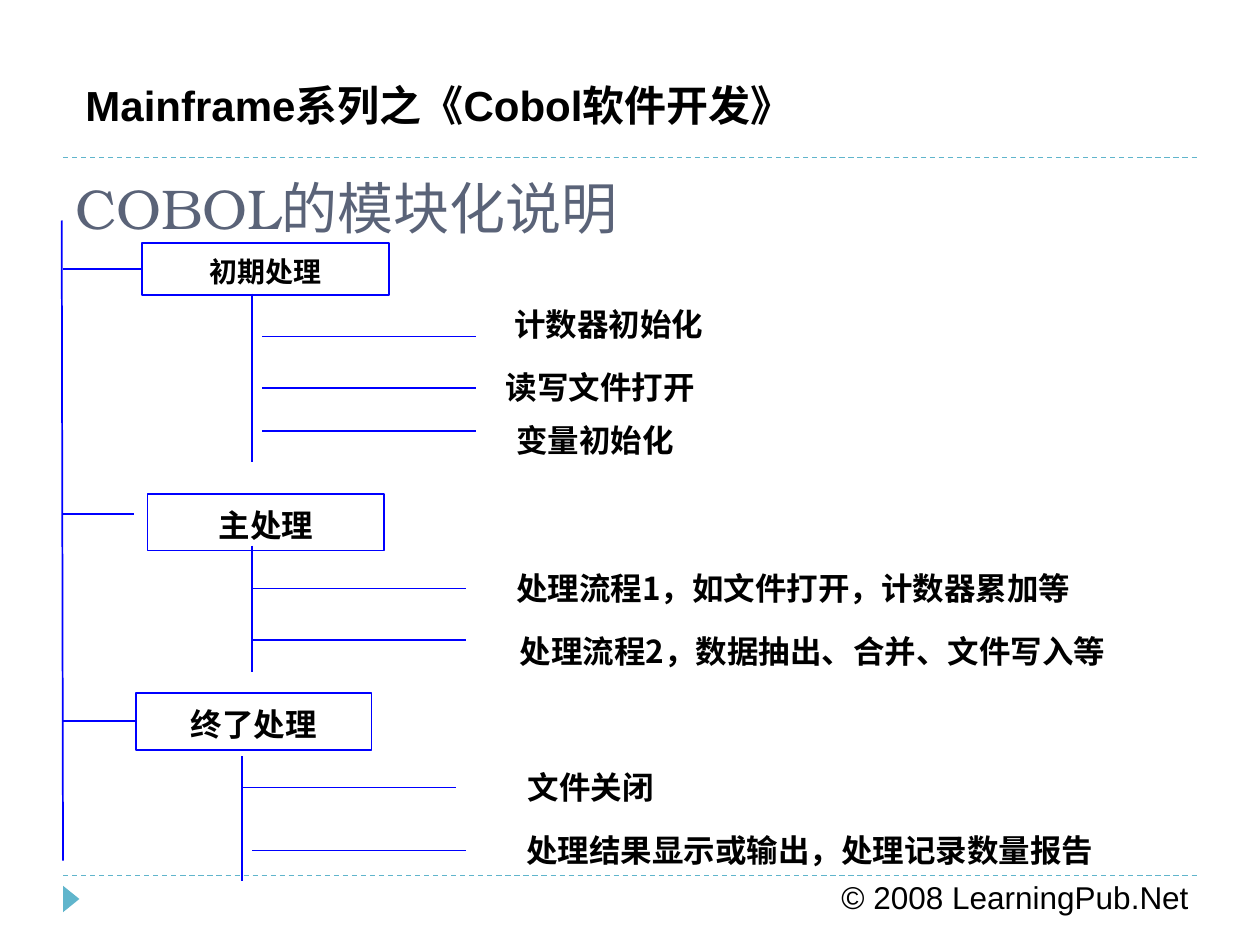
from dataclasses import dataclass

from lxml import etree
from pptx import Presentation
from pptx.dml.color import RGBColor
from pptx.enum.dml import MSO_LINE
from pptx.enum.shapes import MSO_CONNECTOR, MSO_SHAPE
from pptx.enum.text import MSO_ANCHOR, MSO_AUTO_SIZE, PP_ALIGN
from pptx.oxml.ns import qn
from pptx.util import Inches, Pt

STRAIGHT = MSO_CONNECTOR.STRAIGHT
RECTANGLE, TRIANGLE = MSO_SHAPE.RECTANGLE, MSO_SHAPE.ISOSCELES_TRIANGLE
LEFT, CENTER = PP_ALIGN.LEFT, PP_ALIGN.CENTER
TOP, NO_AUTOFIT = MSO_ANCHOR.TOP, MSO_AUTO_SIZE.NONE
DASH = MSO_LINE.DASH
LEFT_SIDE = 1


@dataclass(frozen=True)
class Theme:
    text: RGBColor = RGBColor(0x00, 0x00, 0x00)
    title: RGBColor = RGBColor(0x5A, 0x63, 0x78)
    tree: RGBColor = RGBColor(0x00, 0x00, 0xFF)
    accent: RGBColor = RGBColor(0x60, 0xB5, 0xCC)
    latin_font: str = "Arial"
    title_font: str = "TeX Gyre Bonum"
    cjk_font: str = "Noto Sans CJK SC"
    title_size: int = 32
    series_size: int = 24
    body_size: int = 18
    small_size: int = 16


THEME = Theme()

prs = Presentation()
prs.slide_width, prs.slide_height = Inches(10), Inches(7.5)
slide = prs.slides.add_slide(prs.slide_layouts[5])
shapes = slide.shapes


def write(holder, text, *, size=THEME.body_size, font=THEME.cjk_font,
          color=THEME.text, bold=True, align=LEFT, spacing=1.0, wrap=True):
    """Put one formatted line of text into a shape."""
    frame = holder.text_frame
    frame.auto_size, frame.vertical_anchor, frame.word_wrap = NO_AUTOFIT, TOP, wrap
    paragraph = frame.paragraphs[0]
    paragraph.alignment, paragraph.line_spacing = align, spacing
    run = paragraph.add_run()
    run.text = text
    run.font.size, run.font.bold, run.font.name = Pt(size), bold, font
    run.font.color.rgb = color
    east_asian = etree.SubElement(run.font._element, qn("a:ea"))
    east_asian.set("typeface", THEME.cjk_font)


def draw_line(x1, y1, x2, y2, color=THEME.tree, width=1):
    line = shapes.add_connector(STRAIGHT, Inches(x1), Inches(y1), Inches(x2), Inches(y2))
    line.line.color.rgb, line.line.width = color, Pt(width)
    etree.SubElement(line._element.spPr, qn("a:effectLst"))
    return line


# Page frame: dashed rules, marker, series name and copyright
for rule_y in (1.25, 6.95):
    draw_line(0.5, rule_y, 9.5, rule_y, THEME.accent, 0.75).line.dash_style = DASH

marker = shapes.add_shape(TRIANGLE, Inches(0.46), Inches(7.07), Inches(0.21), Inches(0.13))
marker.rotation = 90
marker.shadow.inherit = False
marker.fill.solid()
marker.fill.fore_color.rgb = THEME.accent
marker.line.fill.background()

copyright_line = shapes.add_textbox(Inches(6.58), Inches(6.92), Inches(3), Inches(0.4))
write(copyright_line, "© 2008 LearningPub.Net", font=THEME.latin_font, bold=False)

series_name = shapes.add_textbox(Inches(0.58), Inches(0.58), Inches(6.08), Inches(0.5))
write(series_name, "Mainframe系列之《Cobol软件开发》", size=THEME.series_size,
      font=THEME.latin_font)

# Title
title = shapes.title
title.left, title.top, title.width, title.height = (
    Inches(0.5), Inches(1.33), Inches(9), Inches(1.25))
write(title, "COBOL的模块化说明", size=THEME.title_size, font=THEME.title_font,
      color=THEME.title, bold=False)

# Trunk of the module tree
TRUNK_X = 0.5
draw_line(0.49, 1.75, TRUNK_X, 6.83)

# Stage: name, size, box (x, y, w, h), end of a branch that stops short of
# the box or None, stem (x, top, bottom), twigs (x, y), steps (text, x, y, w, align)
stages = [
    ("初期处理", THEME.small_size, (1.13, 1.93, 1.96, 0.41), None, (2, 2.33, 3.67),
     [(2.08, 2.67), (2.08, 3.08), (2.08, 3.42)],
     [("计数器初始化", 3.83, 2.33, 2, CENTER),
      ("读写文件打开", 3.83, 2.83, 1.87, CENTER),
      ("变量初始化", 4, 3.25, 2.08, LEFT)]),
    ("主处理", THEME.body_size, (1.17, 3.92, 1.88, 0.45), (1.06, 4.08), (2, 4.33, 5.33),
     [(2, 4.67), (2, 5.08)],
     [("处理流程1，如文件打开，计数器累加等", 4, 4.42, 4.93, LEFT),
      ("处理流程2，数据抽出、合并、文件写入等", 3.83, 4.92, 5.24, CENTER)]),
    ("终了处理", THEME.body_size, (1.08, 5.5, 1.87, 0.45), None, (1.92, 6, 6.99),
     [(1.92, 6.25), (2, 6.75)],
     [("文件关闭", 3.75, 6, 1.88, CENTER),
      ("处理结果显示或输出，处理记录数量报告", 4.08, 6.5, 4.86, LEFT)]),
]
TWIG_LENGTH = 1.7
STEP_HEIGHT = 0.45

for name, size, (x, y, w, h), short_end, (stem_x, stem_top, stem_end), twigs, steps in stages:
    # Stage box
    stage_box = shapes.add_shape(RECTANGLE, Inches(x), Inches(y), Inches(w), Inches(h))
    stage_box.shadow.inherit = False
    stage_box.fill.background()
    stage_box.line.color.rgb, stage_box.line.width = THEME.tree, Pt(1)
    write(stage_box, name, size=size, align=CENTER, spacing=1.15)

    # Branch from the trunk, stem below the box, and a twig for each step
    branch_x, branch_y = short_end or (x, y + h / 2)
    branch = draw_line(TRUNK_X, branch_y, branch_x, branch_y)
    if short_end is None:
        branch.end_connect(stage_box, LEFT_SIDE)
    draw_line(stem_x, stem_top, stem_x, stem_end)
    for twig_x, twig_y in twigs:
        draw_line(twig_x, twig_y, twig_x + TWIG_LENGTH, twig_y)

    # Steps
    for step, step_x, step_y, step_w, align in steps:
        step_label = shapes.add_textbox(
            Inches(step_x), Inches(step_y), Inches(step_w), Inches(STEP_HEIGHT))
        write(step_label, step, align=align, spacing=1.15, wrap=False)

prs.save("out.pptx")
